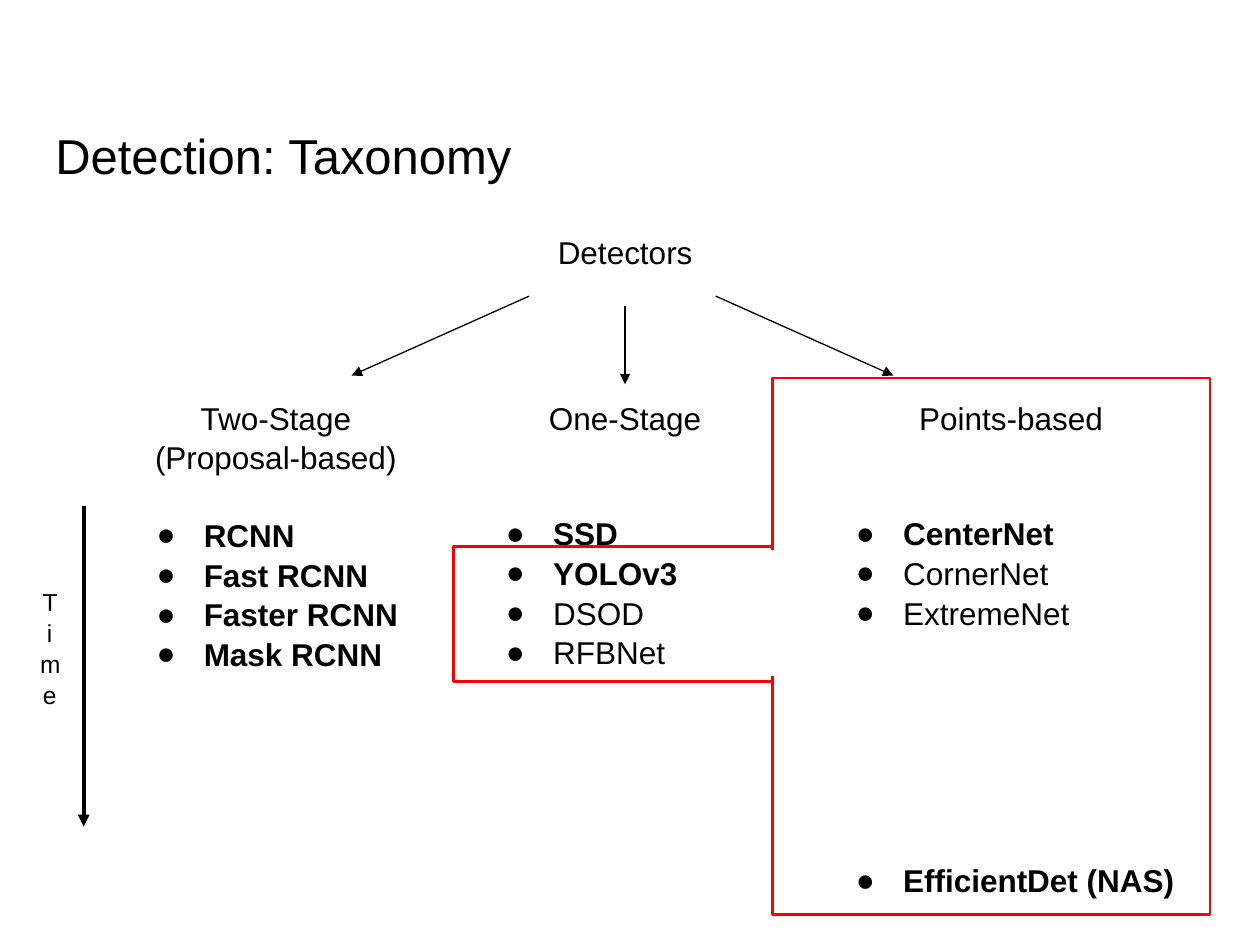
from dataclasses import dataclass

from lxml import etree
from pptx import Presentation
from pptx import util as u
from pptx.dml.color import RGBColor
from pptx.enum import shapes, text
from pptx.oxml.ns import qn


@dataclass
class Theme:
    font: str = "Arial"
    ink: str = "000000"
    mark: str = "FF0000"
    paper: str = "FFFFFF"
    title: int = 28
    body: int = 18
    small: int = 14
    lead: float = 1.05
    row: float = 21.7


class Board:
    def __init__(self, slide, theme):
        self.slide = slide
        self.theme = theme

    def box(self, at, line, width, fill=None):
        rect = self.slide.shapes.add_shape(
            shapes.MSO_SHAPE.RECTANGLE, *map(u.Pt, at))
        rect.shadow.inherit = False
        rect.line.color.rgb = RGBColor.from_string(line)
        rect.line.width = u.Pt(width)
        if fill:
            rect.fill.solid()
            rect.fill.fore_color.rgb = RGBColor.from_string(fill)
        else:
            rect.fill.background()

    def style(self, par, size, bold=False):
        par.line_spacing = self.theme.lead
        par.font.name = self.theme.font
        par.font.size = u.Pt(size)
        par.font.bold = bold
        par.font.color.rgb = RGBColor.from_string(self.theme.ink)

    def label(self, at, words, size, align=text.PP_ALIGN.CENTER):
        frame = self.slide.shapes.add_textbox(*map(u.Pt, at)).text_frame
        frame.word_wrap = True
        frame.margin_left = frame.margin_right = u.Pt(7.2)
        frame.margin_top = frame.margin_bottom = u.Pt(7.2)
        par = frame.paragraphs[0]
        par.text = words
        par.alignment = align
        self.style(par, size)
        return frame

    def bullet(self, frame, words, bold, rows):
        par = frame.add_paragraph()
        par.text = words
        par.alignment = text.PP_ALIGN.LEFT
        par.space_before = u.Pt(rows * self.theme.row)
        props = par._p.get_or_add_pPr()
        props.set("marL", str(u.Pt(36)))
        props.set("indent", str(u.Pt(-27)))
        tint = etree.SubElement(props, qn("a:buClr"))
        etree.SubElement(tint, qn("a:srgbClr"), val=self.theme.ink)
        etree.SubElement(props, qn("a:buFont"), typeface=self.theme.font)
        etree.SubElement(props, qn("a:buChar"), char="●")
        self.style(par, self.theme.body, bold)

    def column(self, at, head, items):
        frame = self.label(at, head, self.theme.body)
        for words, bold, rows in items:
            self.bullet(frame, words, bold, rows)

    def arrow(self, ends, width=0.75):
        line = self.slide.shapes.add_connector(
            shapes.MSO_CONNECTOR.STRAIGHT, *map(u.Pt, ends))
        line.line.color.rgb = RGBColor.from_string(self.theme.ink)
        line.line.width = u.Pt(width)
        etree.SubElement(line.line._get_or_add_ln(), qn("a:tailEnd"),
                         type="triangle")
        etree.SubElement(line._element.spPr, qn("a:effectLst"))


def main():
    deck = Presentation()
    deck.slide_width, deck.slide_height = u.Pt(720), u.Pt(540)
    theme = Theme()
    board = Board(deck.slides.add_slide(deck.slide_layouts[6]), theme)

    board.box((441.4, 216, 250, 306.5), theme.mark, 1.5)
    board.label((24.5, 62.6, 671, 80), "Detection: Taxonomy", theme.title,
                text.PP_ALIGN.LEFT)

    top, wide = 219.6, 168.5
    board.label((273, 124.6, wide, 50.4), "Detectors", theme.body)
    board.column((273, top, wide, 223), "One-Stage", [
        ("SSD", True, 2), ("YOLOv3", True, 0),
        ("DSOD", False, 0), ("RFBNet", False, 0)])
    board.column((73.4, top, wide, 241), "Two-Stage (Proposal-based)", [
        ("RCNN", True, 1), ("Fast RCNN", True, 0),
        ("Faster RCNN", True, 0), ("Mask RCNN", True, 0)])
    board.column((473, top, 209.5, 306.5), "Points-based", [
        ("CenterNet", True, 2), ("CornerNet", False, 0),
        ("ExtremeNet", False, 0), ("EfficientDet (NAS)", True, 6)])

    mid = 355.7
    for side in (-1, 1):
        board.arrow((mid + side * 53.3, 169.2, mid + side * 154.8, 214.6))
    board.arrow((357.2, 175, 357.2, top))
    board.arrow((47.8, 289.4, 47.8, 472.3), 2.25)
    board.label((15.8, 327.6, 25.2, 107.3), "Time", theme.small)

    board.box((259.2, 312.5, 182.2, 77), theme.mark, 1.5)
    board.box((435.6, 314.6, 25.2, 71.3), theme.paper, 0.75, theme.paper)

    deck.save("out.pptx")


if __name__ == "__main__":
    main()
